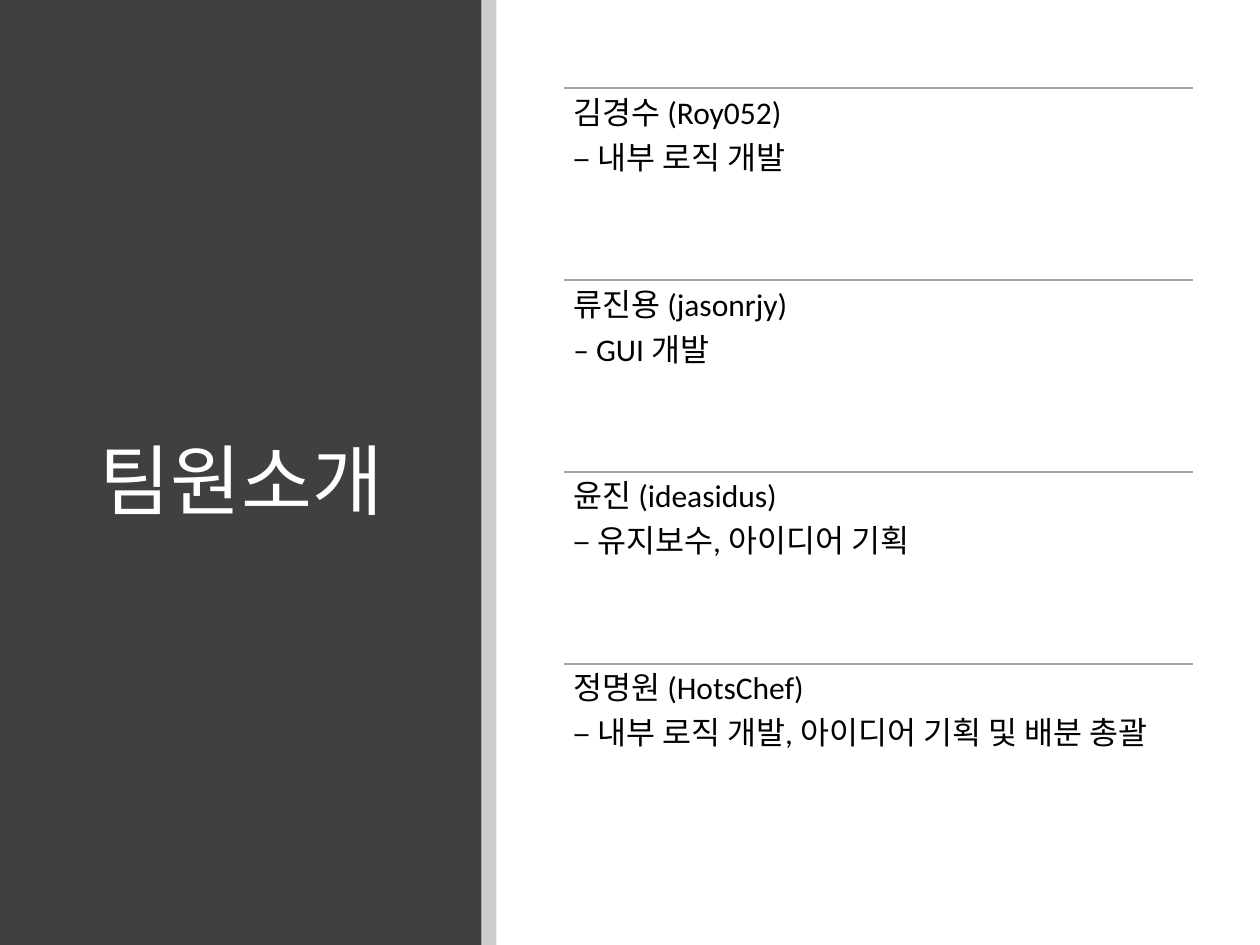
"""Build the team introduction slide."""
from dataclasses import dataclass
from lxml.etree import SubElement
from pptx import Presentation
from pptx.dml.color import RGBColor as Color
from pptx.enum.shapes import MSO_CONNECTOR as Connector, MSO_SHAPE as Shape
from pptx.enum.text import MSO_ANCHOR as Anchor, PP_ALIGN as Align
from pptx.oxml.ns import qn
from pptx.util import Inches, Pt


@dataclass(frozen=True)
class Theme:
    font: str = "Calibri"
    panel: Color = Color(0x40, 0x40, 0x40)
    ink: Color = Color(0, 0, 0)
    paper: Color = Color(255, 255, 255)
    rule: Color = Color(0xA5, 0xA5, 0xA5)
    title_size: int = 44
    body_size: int = 18


def style(paragraph, size, color):
    paragraph.line_spacing = 0.9
    paragraph.font.name = theme.font
    paragraph.font.size = Pt(size)
    paragraph.font.color.rgb = color


theme = Theme()
members = [
    ("김경수 (Roy052)", "– 내부 로직 개발"),
    ("류진용 (jasonrjy)", "– GUI 개발"),
    ("윤진 (ideasidus)", "– 유지보수, 아이디어 기획"),
    ("정명원 (HotsChef)", "– 내부 로직 개발, 아이디어 기획 및 배분 총괄"),
]

presentation = Presentation()
presentation.slide_width = Inches(10)
presentation.slide_height = Inches(7.5)
slide = presentation.slides.add_slide(presentation.slide_layouts[5])
slide.background.fill.solid()
slide.background.fill.fore_color.rgb = theme.paper

title = slide.shapes.title
title.left, title.top = Inches(0.69), Inches(0.89)
title.width, title.height = Inches(2.74), Inches(5.91)
title.text_frame.text = "팀원소개"
title.text_frame.vertical_anchor = Anchor.MIDDLE
title_paragraph = title.text_frame.paragraphs[0]
title_paragraph.alignment = Align.LEFT
style(title_paragraph, theme.title_size, theme.paper)

panel_width, strip_width = Inches(3.82), Inches(0.12)
for left, width, color, opacity in [
    (0, panel_width, theme.panel, 100),
    (panel_width, strip_width, theme.ink, 20),
]:
    band = slide.shapes.add_shape(Shape.RECTANGLE, left, 0, width, presentation.slide_height)
    band.shadow.inherit = False
    band.fill.solid()
    band.fill.fore_color.rgb = color
    band.line.fill.background()
    if opacity < 100:
        fill_color = band.element.spPr.find(qn("a:solidFill"))[0]
        SubElement(fill_color, qn("a:alpha"), val=str(opacity * 1000))
    title.element.addprevious(band.element)

list_left, list_top = Inches(4.48), Inches(0.7)
list_width, list_height = Inches(4.99), Inches(6.09)
row_height = list_height // len(members)
member_list = slide.shapes.add_group_shape()
for row, lines in enumerate(members):
    top = list_top + row * row_height
    rule = member_list.shapes.add_connector(
        Connector.STRAIGHT, list_left, top, list_left + list_width, top)
    rule.line.color.rgb = theme.rule
    rule.line.width = Pt(1)
    SubElement(rule.element.spPr, qn("a:effectLst"))

    box = member_list.shapes.add_textbox(list_left, top, list_width, row_height)
    frame = box.text_frame
    frame.word_wrap = True
    frame.margin_left = frame.margin_right = Inches(0.07)
    frame.margin_top = frame.margin_bottom = Inches(0.07)
    frame.text = "\n".join(lines)
    for paragraph in frame.paragraphs:
        paragraph.space_after = Pt(0.35 * theme.body_size)
        style(paragraph, theme.body_size, theme.ink)

presentation.save("out.pptx")
